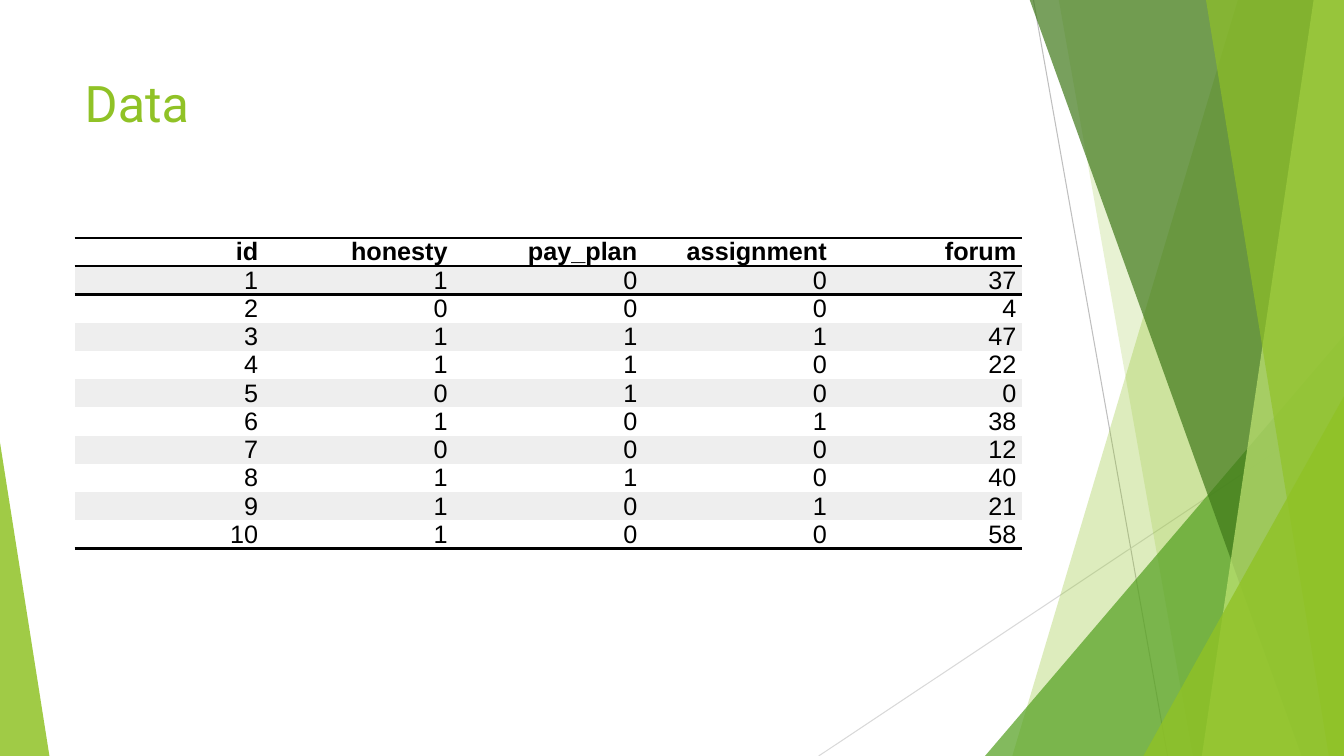
import pptx
import pptx.util
import pptx.dml.color
import pptx.enum.shapes
import pptx.enum.text
import pptx.oxml.ns
from dataclasses import dataclass
from lxml import etree

Inches, Pt = pptx.util.Inches, pptx.util.Pt
qn = pptx.oxml.ns.qn
W, H = 13.33, 7.5
LEFT, CONTENT_W = 0.74, 9.4


@dataclass(frozen=True)
class Theme:
    lime: str = "90C226"
    pale_lime: str = "C0E474"
    green: str = "54A021"
    dark_green: str = "3F7819"
    ink: str = "000000"
    stripe: str = "EEEEEE"
    paper: str = "FFFFFF"
    title_font: str = "Roboto"
    table_font: str = "Arial"
    title_size: int = 36
    table_size: int = 18
    rule: int = 2
    no_style: str = "{2D5ABB26-0587-4C30-8999-92F81FD0307C}"


T = Theme()

HEADERS = ("id", "honesty", "pay_plan", "assignment", "forum")
RECORDS = (
    (1, 1, 0, 0, 37), (2, 0, 0, 0, 4), (3, 1, 1, 1, 47), (4, 1, 1, 0, 22),
    (5, 0, 1, 0, 0), (6, 1, 0, 1, 38), (7, 0, 0, 0, 12), (8, 1, 1, 0, 40),
    (9, 1, 0, 1, 21), (10, 1, 0, 0, 58),
)


def rgb(value):
    return pptx.dml.color.RGBColor.from_string(value)


def apply(target, values):
    for name, value in values.items():
        setattr(target, name, value)


def format_run(r, font, size, color, bold=False):
    apply(r.font, {"name": font, "size": Pt(size), "bold": bold})
    r.font.color.rgb = rgb(color)


def paint(sp, color, opacity):
    """Fill a shape with a see-through colour; opacity is a percentage."""
    sp.shadow.inherit = False
    sp.line.fill.background()
    sp.fill.solid()
    sp.fill.fore_color.rgb = rgb(color)
    clr = sp._element.spPr.find(qn("a:solidFill"))[0]
    etree.SubElement(clr, qn("a:alpha"), val=str(opacity * 1000))


def add_hairline(slide, start, end, color):
    line = slide.shapes.add_connector(
        pptx.enum.shapes.MSO_CONNECTOR.STRAIGHT,
        *(Inches(v) for v in (*start, *end)))
    line.line.color.rgb = rgb(color)
    line.line.width = Pt(0.75)
    etree.SubElement(line._element.spPr, qn("a:effectLst"))


def add_band(slide, top_x, bottom_x, color, opacity):
    """A full-height band from a slanted left side to the right slide edge."""
    top = -0.01
    builder = slide.shapes.build_freeform(
        Inches(top_x), Inches(top), scale=1.0)
    builder.add_line_segments(
        [(Inches(x), Inches(y))
         for x, y in ((W, top), (W, H), (bottom_x, H))], close=True)
    paint(builder.convert_to_shape(), color, opacity)


def add_corner(slide, left, right, top, apex, color, opacity):
    """A triangle on the bottom edge; apex 0 is its left side, 1 its right."""
    sp = slide.shapes.add_shape(
        pptx.enum.shapes.MSO_SHAPE.ISOSCELES_TRIANGLE,
        Inches(left), Inches(top), Inches(right - left), Inches(H - top))
    sp.adjustments[0] = apex
    paint(sp, color, opacity)


def add_facets(slide):
    add_hairline(slide, (10.25, 0), (11.58, H), "BFBFBF")
    add_hairline(slide, (W, 4.03), (8.12, H), "D9D9D9")
    add_band(slide, 12.28, 10.04, T.lime, 30)
    add_band(slide, 10.5, 11.83, T.lime, 20)
    add_corner(slide, 9.77, W, 3.33, 1, T.green, 72)
    add_band(slide, 10.21, 12.91, T.dark_green, 70)
    add_band(slide, 13.03, 11.92, T.pale_lime, 70)
    add_band(slide, 11.96, 13.18, T.lime, 65)
    add_corner(slide, 11.34, W, 3.93, 1, T.lime, 80)
    add_corner(slide, 0, 0.49, 4.39, 0, T.lime, 85)


def set_title(slide, text):
    title = slide.shapes.title
    slide.shapes._spTree.append(title._element)  # in front of the facets
    apply(title, {"left": Inches(LEFT), "top": Inches(0.67),
                  "width": Inches(CONTENT_W), "height": Inches(1.44)})
    tf = title.text_frame
    apply(tf, {"vertical_anchor": pptx.enum.text.MSO_ANCHOR.TOP,
               "word_wrap": True})
    p = tf.paragraphs[0]
    p.alignment = pptx.enum.text.PP_ALIGN.LEFT
    r = p.add_run()
    r.text = text
    format_run(r, T.title_font, T.title_size, T.lime)


def rule_cell(cell, sides):
    """Draw rules on the given sides, such as lnT and lnB."""
    for i, side in enumerate(sides):
        ln = etree.Element(qn("a:" + side), w=str(Pt(T.rule)))
        fill = etree.SubElement(ln, qn("a:solidFill"))
        etree.SubElement(fill, qn("a:srgbClr"), val=T.ink)
        cell._tc.get_or_add_tcPr().insert(i, ln)


def fill_cell(cell, value, bold):
    apply(cell, {"margin_left": 0, "margin_right": 0, "margin_top": 0,
                 "margin_bottom": 0,
                 "vertical_anchor": pptx.enum.text.MSO_ANCHOR.MIDDLE})
    p = cell.text_frame.paragraphs[0]
    apply(p, {"alignment": pptx.enum.text.PP_ALIGN.RIGHT,
              "space_before": Pt(1), "space_after": Pt(1)})
    pPr = p._p.get_or_add_pPr()
    for side in ("marL", "marR"):
        pPr.set(side, str(Inches(0.06)))
    r = p.add_run()
    r.text = str(value)
    format_run(r, T.table_font, T.table_size, T.ink, bold)


def add_data_table(slide, headers, records):
    rows = (headers, *records)
    last = len(rows) - 1
    height = Inches(4.24)
    frame = slide.shapes.add_table(
        len(rows), len(headers), Inches(LEFT), Inches(2.36),
        Inches(CONTENT_W), height)
    table = frame.table
    table.horz_banding = False
    table._tbl.tblPr.find(qn("a:tableStyleId")).text = T.no_style
    for i, values in enumerate(rows):
        table.rows[i].height = 0  # rows grow to fit their text
        sides = {0: ("lnT", "lnB"), 1: ("lnT",), last: ("lnB",)}.get(i, ())
        for j, value in enumerate(values):
            cell = table.cell(i, j)
            fill_cell(cell, value, bold=i == 0)
            if i == 0:
                cell.fill.background()
            else:
                cell.fill.solid()
                cell.fill.fore_color.rgb = rgb(T.stripe if i % 2 else T.paper)
            rule_cell(cell, sides)
    frame.height = height


def main():
    prs = pptx.Presentation()
    apply(prs, {"slide_width": Inches(W), "slide_height": Inches(H)})
    slide = prs.slides.add_slide(prs.slide_layouts[5])
    add_facets(slide)
    set_title(slide, "Data")
    add_data_table(slide, HEADERS, RECORDS)
    prs.save("out.pptx")


main()
